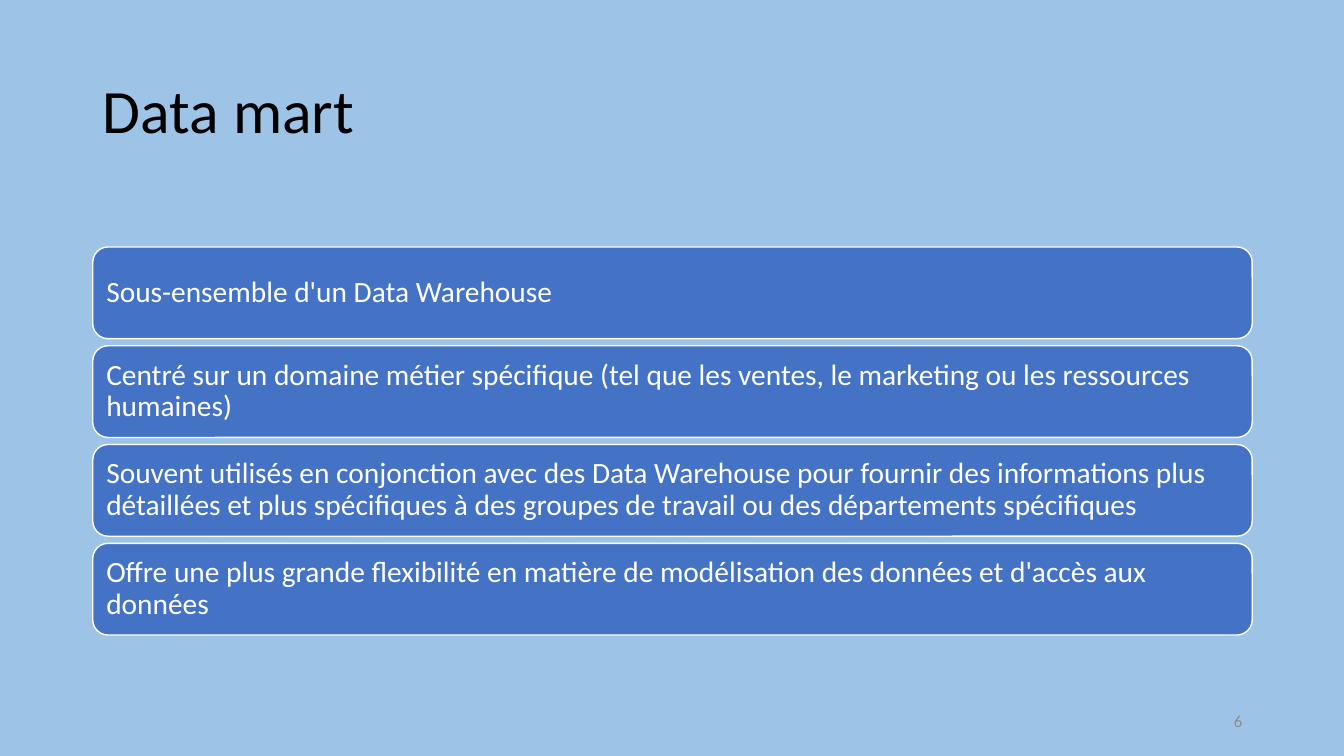
from pptx import Presentation
from pptx.dml.color import RGBColor
from pptx.enum.shapes import MSO_SHAPE
from pptx.enum.text import MSO_ANCHOR, MSO_AUTO_SIZE, PP_ALIGN
from pptx.util import Inches, Pt

ROUNDED = MSO_SHAPE.ROUNDED_RECTANGLE
MIDDLE = MSO_ANCHOR.MIDDLE
NO_FIT = MSO_AUTO_SIZE.NONE
LEFT, RIGHT = PP_ALIGN.LEFT, PP_ALIGN.RIGHT
TITLE_ONLY = 5

COLORS = {
    "background": "9DC3E6",
    "bar": "4472C4",
    "white": "FFFFFF",
    "title": "000000",
    "number": "8C8C8C",
}

POINTS = [
    "Sous-ensemble d'un Data Warehouse",
    "Centré sur un domaine métier spécifique (tel que les ventes, "
    "le marketing ou les ressources humaines)",
    "Souvent utilisés en conjonction avec des Data Warehouse pour fournir "
    "des informations plus détaillées et plus spécifiques à des groupes de "
    "travail ou des départements spécifiques",
    "Offre une plus grande flexibilité en matière de modélisation des "
    "données et d'accès aux données",
]

MARGIN, WIDTH = 0.92, 11.5
BAR_TOP, BAR_HEIGHT, BAR_PITCH = 2.45, 0.91, 0.98


class SlideBuilder:
    font = "Calibri"

    def __init__(self, prs):
        self.s = prs.slides.add_slide(prs.slide_layouts[TITLE_ONLY])
        self.fill(self.s.background, "background")

    def color(self, name):
        return RGBColor.from_string(COLORS[name])

    def fill(self, target, name):
        target.fill.solid()
        target.fill.fore_color.rgb = self.color(name)

    def set_text(self, sp, text, size, color, align=LEFT, spacing=0.9, inset=0.1):
        tf = sp.text_frame
        frame_format = {
            "word_wrap": True,
            "auto_size": NO_FIT,
            "vertical_anchor": MIDDLE,
            "margin_left": Inches(inset),
            "margin_right": Inches(inset),
        }
        for name, value in frame_format.items():
            setattr(tf, name, value)
        p = tf.paragraphs[0]
        p.alignment = align
        p.line_spacing = spacing
        r = p.add_run()
        r.text = text
        r.font.name = self.font
        r.font.size = Pt(size)
        r.font.color.rgb = self.color(color)

    def title(self, text, left, top, width, height):
        sp = self.s.shapes.title
        box = {"left": left, "top": top, "width": width, "height": height}
        for name, value in box.items():
            setattr(sp, name, Inches(value))
        self.set_text(sp, text, 44, "title")

    def bar(self, text, *box):
        sp = self.s.shapes.add_shape(ROUNDED, *map(Inches, box))
        sp.shadow.inherit = False
        self.fill(sp, "bar")
        sp.line.color.rgb = self.color("white")
        sp.line.width = Pt(1)
        self.set_text(sp, text, 21, "white", inset=0.09)

    def page_number(self, text, *box):
        sp = self.s.shapes.add_textbox(*map(Inches, box))
        self.set_text(sp, text, 12, "number", align=RIGHT, spacing=1.0)


def main():
    prs = Presentation()
    prs.slide_width = Inches(13.33)
    prs.slide_height = Inches(7.5)
    slide = SlideBuilder(prs)
    slide.title("Data mart", MARGIN, 0.4, WIDTH, 1.45)
    for i, point in enumerate(POINTS):
        slide.bar(point, MARGIN, BAR_TOP + i * BAR_PITCH, WIDTH, BAR_HEIGHT)
    slide.page_number("6", 9.42, 6.95, 3, 0.4)
    prs.save("out.pptx")


if __name__ == "__main__":
    main()
